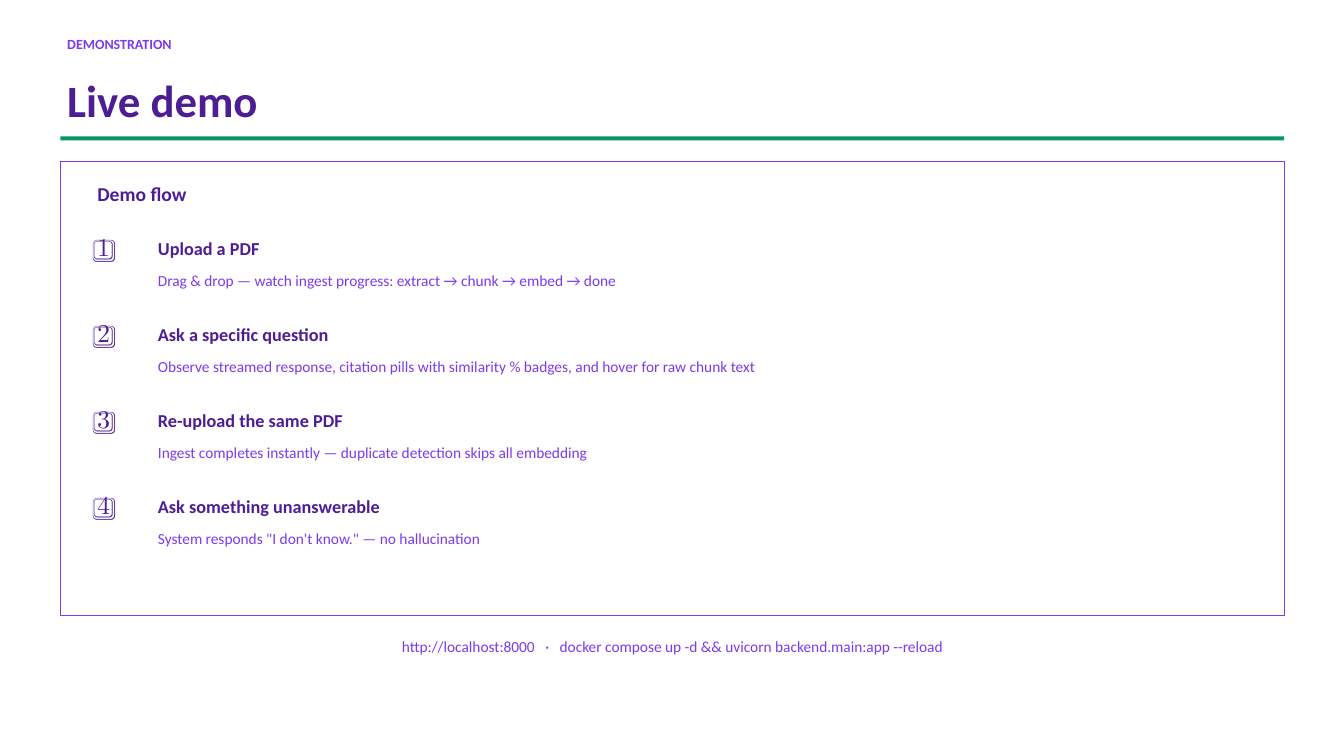
from pptx import Presentation
from pptx.dml.color import RGBColor
from pptx.enum.shapes import MSO_SHAPE
from pptx.enum.text import MSO_ANCHOR, MSO_AUTO_SIZE, PP_ALIGN
from pptx.util import Inches, Pt

INDIGO = RGBColor(0x4C, 0x1D, 0x95)
VIOLET = RGBColor(0x7C, 0x3A, 0xED)
GREEN = RGBColor(0x05, 0x96, 0x69)
WHITE = RGBColor(0xFF, 0xFF, 0xFF)

FRAME = {
    "margin_left": 0, "margin_top": 0, "margin_right": 0, "margin_bottom": 0,
    "word_wrap": True, "auto_size": MSO_AUTO_SIZE.NONE,
    "vertical_anchor": MSO_ANCHOR.TOP,
}
STEPS = [
    ("1️⃣", "Upload a PDF",
     "Drag & drop — watch ingest progress: extract → chunk → embed → done"),
    ("2️⃣", "Ask a specific question",
     "Observe streamed response, citation pills with similarity % badges, "
     "and hover for raw chunk text"),
    ("3️⃣", "Re-upload the same PDF",
     "Ingest completes instantly — duplicate detection skips all embedding"),
    ("4️⃣", "Ask something unanswerable",
     "System responds \"I don't know.\" — no hallucination"),
]
FIRST_STEP_TOP = 3.44
STEP_PITCH = 1.28


def apply(target, values):
    for name, value in values.items():
        setattr(target, name, value)


class DemoSlide:
    font_name = "Calibri"

    def __init__(self, slide):
        self.slide = slide

    def place(self, shape, box):
        names = ("left", "top", "width", "height")
        apply(shape, dict(zip(names, map(Inches, box))))

    def fill_frame(self, frame, parts, size, color, bold, align):
        apply(frame, FRAME)
        paragraph = frame.paragraphs[0]
        apply(paragraph, {"alignment": align, "line_spacing": Pt(size * 1.2)})
        for wording, tracking in parts:
            run = paragraph.add_run()
            run.text = wording
            apply(run.font, {"name": self.font_name, "size": Pt(size), "bold": bold})
            run.font.color.rgb = color
            if tracking:
                run._r.get_or_add_rPr().set("spc", str(tracking))

    def title(self, wording, box, size, color):
        heading = self.slide.shapes.title
        self.place(heading, box)
        self.fill_frame(heading.text_frame, [(wording, 0)], size, color, True, PP_ALIGN.LEFT)

    def text(self, parts, box, size, color, bold=False, align=PP_ALIGN.LEFT):
        if isinstance(parts, str):
            parts = [(parts, 0)]
        label = self.slide.shapes.add_textbox(*map(Inches, box))
        self.fill_frame(label.text_frame, parts, size, color, bold, align)

    def panel(self, box, fill, outline=None):
        rectangle = self.slide.shapes.add_shape(MSO_SHAPE.RECTANGLE, *map(Inches, box))
        rectangle.shadow.inherit = False
        rectangle.fill.solid()
        rectangle.fill.fore_color.rgb = fill
        if outline is None:
            rectangle.line.fill.background()
        else:
            rectangle.line.color.rgb = outline
            rectangle.line.width = Pt(1.1)

    def step(self, top, number, heading, detail):
        self.text(number, (1.45, top, 0.55, 0.79), 27, INDIGO)
        self.text(heading, (2.35, top + 0.09, 16.31, 0.48), 19.5, INDIGO, bold=True)
        self.text(detail, (2.35, top + 0.6, 16.31, 0.46), 16.5, VIOLET)


def main():
    deck = Presentation()
    apply(deck, {"slide_width": Inches(20), "slide_height": Inches(11.25)})
    demo = DemoSlide(deck.slides.add_slide(deck.slide_layouts[5]))

    demo.text("DEMONSTRATION", (1, 0.53, 17.81, 0.47), 15, VIOLET, bold=True)
    demo.title("Live demo", (1, 1.08, 17.81, 0.9), 48, INDIGO)
    demo.panel((0.9, 2.03, 18.21, 0.06), GREEN)
    demo.panel((0.9, 2.4, 18.21, 6.76), WHITE, VIOLET)
    demo.text("Demo flow", (1.45, 2.7, 17.06, 0.55), 21, INDIGO, bold=True)
    for index, step in enumerate(STEPS):
        demo.step(FIRST_STEP_TOP + index * STEP_PITCH, *step)

    launch = [
        ("http://localhost:8000", 0),
        (" ·", 750),
        (" docker compose up -d && uvicorn backend.main:app --reload", 0),
    ]
    demo.text(launch, (1, 9.48, 18.01, 0.53), 16.5, VIOLET, align=PP_ALIGN.CENTER)
    deck.save("out.pptx")


if __name__ == "__main__":
    main()
